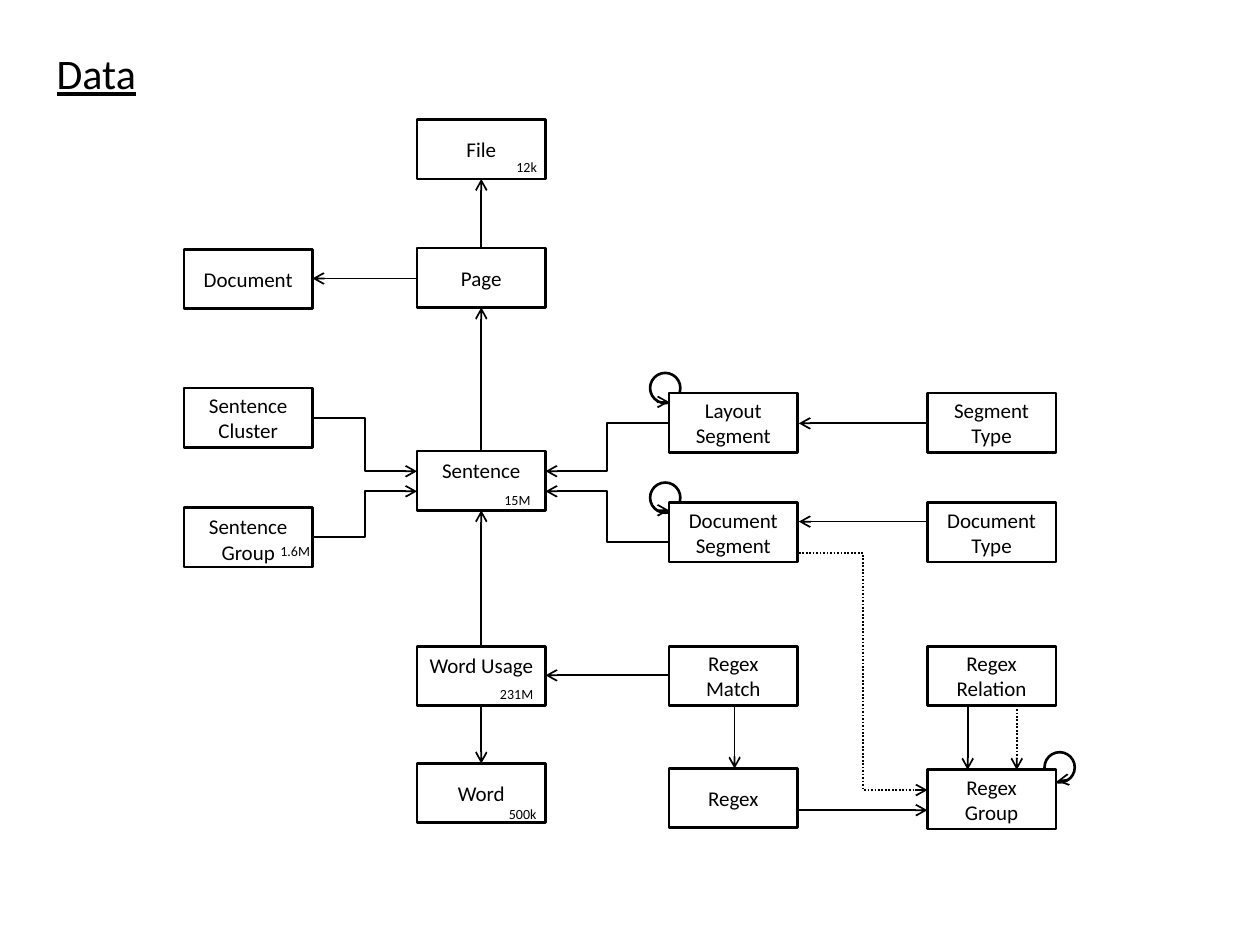
"""Build the data model diagram slide."""
import dataclasses

import lxml.etree
import pptx
import pptx.dml.color
import pptx.enum.dml
import pptx.enum.shapes
import pptx.enum.text
import pptx.oxml.ns
import pptx.util

Inches = pptx.util.Inches
Align = pptx.enum.text.PP_ALIGN
Anchor = pptx.enum.text.MSO_ANCHOR
Shape = pptx.enum.shapes.MSO_SHAPE
Connector = pptx.enum.shapes.MSO_CONNECTOR

BLACK = "000000"
WHITE = "FFFFFF"
FONT = "Calibri"
BOX_WIDTH, BOX_HEIGHT = 1.02, 0.47
LOOP_SIZE = 0.24
LEFT, CENTRE, INNER, OUTER = 1.46, 3.31, 5.31, 7.36


@dataclasses.dataclass(frozen=True)
class Entity:
    """A labelled box of the data model."""
    label: str
    left: float
    top: float
    anchor: Anchor = Anchor.MIDDLE
    filled: bool = False


@dataclasses.dataclass(frozen=True)
class Count:
    """A small record count inside a box."""
    text: str
    left: float
    top: float
    width: float = 0.47
    align: Align = Align.LEFT


@dataclasses.dataclass(frozen=True)
class Link:
    """An arrow between two points."""
    start: tuple[float, float]
    end: tuple[float, float]
    bent: bool = False
    dotted: bool = False


LOOPS = [(5.16, 2.96), (5.16, 3.83), (8.29, 5.97)]

ENTITIES = [
    Entity("File", CENTRE, 0.95),
    Entity("Page", CENTRE, 1.97),
    Entity("Sentence", CENTRE, 3.58, Anchor.TOP),
    Entity("Word Usage", CENTRE, 5.13, Anchor.TOP),
    Entity("Word", CENTRE, 6.06),
    Entity("Document", LEFT, 1.98),
    Entity("Sentence Cluster", LEFT, 3.08),
    Entity("Sentence Group", LEFT, 4.03, Anchor.TOP),
    Entity("Layout\nSegment", INNER, 3.12, filled=True),
    Entity("Document Segment", INNER, 3.99, filled=True),
    Entity("Regex Match", INNER, 5.13),
    Entity("Regex", INNER, 6.1),
    Entity("Segment\nType", OUTER, 3.12),
    Entity("Document\nType", OUTER, 3.99),
    Entity("Regex Relation", OUTER, 5.13),
    Entity("Regex\nGroup", OUTER, 6.11, filled=True),
]

COUNTS = [
    Count("12k", 4, 1.21, 0.39),
    Count("231M", 3.87, 5.39),
    Count("500k", 3.94, 6.34),
    Count("15M", 3.84, 3.85, align=Align.RIGHT),
    Count("1.6M", 2.09, 4.26, align=Align.RIGHT),
]

LINKS = [
    Link((3.82, 1.97), (3.82, 1.42)),
    Link((3.82, 3.58), (3.82, 2.44)),
    Link((3.82, 5.13), (3.82, 4.05)),
    Link((3.82, 5.6), (3.82, 6.06)),
    Link((3.31, 2.21), (2.48, 2.21)),
    Link((5.31, 5.36), (4.33, 5.36)),
    Link((7.36, 3.36), (6.34, 3.36)),
    Link((7.36, 4.14), (6.34, 4.14)),
    Link((5.83, 5.6), (5.83, 6.1)),
    Link((6.34, 6.43), (7.36, 6.43)),
    Link((7.68, 5.6), (7.68, 6.11)),
    Link((8.07, 5.6), (8.07, 6.11), dotted=True),
    Link((5.24, 3.19), (5.31, 3.19)),
    Link((5.24, 4.05), (5.31, 4.05)),
    Link((8.46, 6.19), (8.39, 6.2)),
    Link((2.48, 3.32), (3.31, 3.74), bent=True),
    Link((2.48, 4.26), (3.31, 3.9), bent=True),
    Link((5.31, 3.36), (4.33, 3.74), bent=True),
    Link((5.31, 4.3), (4.33, 3.9), bent=True),
    Link((6.34, 4.39), (7.36, 6.27), bent=True, dotted=True),
]


def paint(target, colour: str) -> None:
    """Give a fill a solid colour."""
    target.solid()
    target.fore_color.rgb = pptx.dml.color.RGBColor.from_string(colour)


def write(frame, text: str, size: float, align: Align, underline: bool = False) -> None:
    """Write each line of the text as a paragraph with one run."""
    frame.word_wrap = True
    for index, line in enumerate(text.split("\n")):
        para = frame.add_paragraph() if index else frame.paragraphs[0]
        para.alignment = align
        span = para.add_run()
        span.text = line
        span.font.name = FONT
        span.font.size = pptx.util.Pt(size)
        span.font.underline = underline or None
        paint(span.font.fill, BLACK)


def add_outline(page, kind: Shape, left: float, top: float, width: float, height: float):
    """Add an unfilled shape with a black outline."""
    box = page.shapes.add_shape(kind, Inches(left), Inches(top), Inches(width), Inches(height))
    box.shadow.inherit = False
    box.fill.background()
    paint(box.line.fill, BLACK)
    box.line.width = pptx.util.Pt(1.5)
    return box


def add_entity(page, entity: Entity) -> None:
    """Add a labelled box."""
    box = add_outline(page, Shape.RECTANGLE, entity.left, entity.top, BOX_WIDTH, BOX_HEIGHT)
    if entity.filled:
        paint(box.fill, WHITE)
    frame = box.text_frame
    frame.margin_left = frame.margin_right = Inches(0.09)
    frame.vertical_anchor = entity.anchor
    write(frame, entity.label, 12, Align.CENTER)


def add_count(page, count: Count) -> None:
    """Add a small record count."""
    box = page.shapes.add_textbox(
        Inches(count.left), Inches(count.top), Inches(count.width), Inches(0.24))
    box.text_frame.auto_size = pptx.enum.text.MSO_AUTO_SIZE.SHAPE_TO_FIT_TEXT
    write(box.text_frame, count.text, 8, count.align)


def add_link(page, link: Link) -> None:
    """Add an arrow, straight or bent."""
    kind = Connector.ELBOW if link.bent else Connector.STRAIGHT
    arrow = page.shapes.add_connector(kind, *map(Inches, link.start + link.end))
    paint(arrow.line.fill, BLACK)
    arrow.line.width = pptx.util.Pt(1)
    if link.dotted:
        arrow.line.dash_style = pptx.enum.dml.MSO_LINE.ROUND_DOT
    qn = pptx.oxml.ns.qn
    properties = arrow.element.spPr
    lxml.etree.SubElement(properties.find(qn("a:ln")), qn("a:tailEnd"), type="arrow")
    lxml.etree.SubElement(properties, qn("a:effectLst"))


def add_title(page, text: str) -> None:
    """Place and format the title."""
    title = page.shapes.title
    title.left, title.top, title.width, title.height = map(Inches, (0.35, 0.33, 2.2, 0.5))
    title.text_frame.vertical_anchor = Anchor.TOP
    write(title.text_frame, text, 24, Align.LEFT, underline=True)


def main() -> None:
    """Build and save the deck."""
    deck = pptx.Presentation()
    deck.slide_width, deck.slide_height = Inches(10), Inches(7.5)
    page = deck.slides.add_slide(deck.slide_layouts[5])
    add_title(page, "Data")
    for left, top in LOOPS:
        add_outline(page, Shape.OVAL, left, top, LOOP_SIZE, LOOP_SIZE)
    for entity in ENTITIES:
        add_entity(page, entity)
    for count in COUNTS:
        add_count(page, count)
    for link in LINKS:
        add_link(page, link)
    deck.save("out.pptx")


main()
